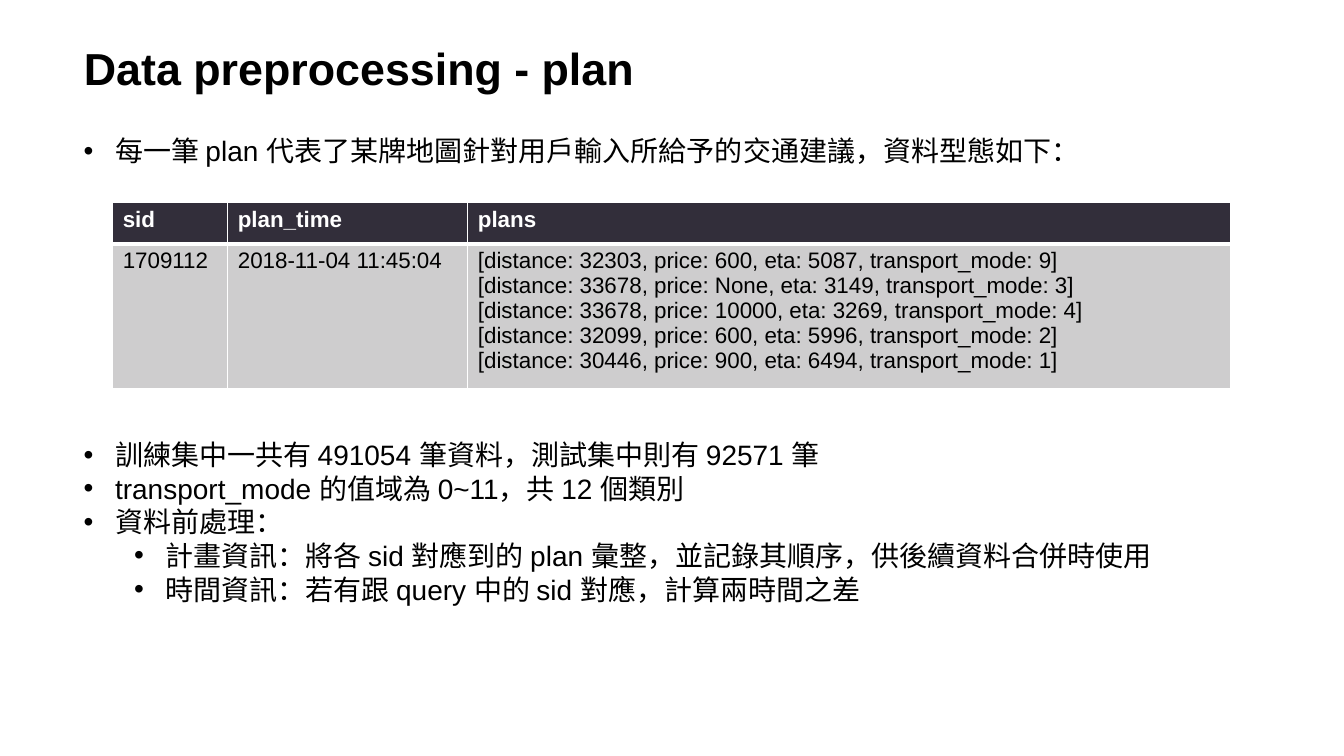
from dataclasses import dataclass

from lxml import etree
from pptx import Presentation
from pptx import util as u
from pptx.dml.color import RGBColor
from pptx.enum import text
from pptx.oxml import ns


@dataclass(frozen=True)
class Theme:
    """Colours, font and type sizes of the slide."""
    font: str = "Arial"
    ink: str = "000000"
    paper: str = "FFFFFF"
    header: str = "322E3A"
    row: str = "CECDCE"
    title_size: int = 32
    body_size: int = 20
    table_size: int = 16


THEME = Theme()
TITLE = "Data preprocessing - plan"
TABLE_GAP = 193
BULLETS = [
    (0, 0, "每一筆 plan 代表了某牌地圖針對用戶輸入所給予的交通建議，資料型態如下："),
    (0, TABLE_GAP, "訓練集中一共有 491054 筆資料，測試集中則有 92571 筆"),
    (0, 0, "transport_mode 的值域為 0~11，共 12 個類別"),
    (0, 0, "資料前處理："),
    (1, 0, "計畫資訊：將各 sid 對應到的 plan 彙整，並記錄其順序，供後續資料合併時使用"),
    (1, 0, "時間資訊：若有跟 query 中的 sid 對應，計算兩時間之差"),
]
PLANS = [
    (32303, 600, 5087, 9),
    (33678, None, 3149, 3),
    (33678, 10000, 3269, 4),
    (32099, 600, 5996, 2),
    (30446, 900, 6494, 1),
]
PLAN_LINES = "\n".join(
    f"[distance: {distance}, price: {price}, eta: {eta}, transport_mode: {mode}]"
    for distance, price, eta, mode in PLANS
)
TABLE_ROWS = [
    ["sid", "plan_time", "plans"],
    ["1709112", "2018-11-04 11:45:04", PLAN_LINES],
]
COLUMN_WIDTHS = [2.9, 6.05, 19.22]
ROW_HEIGHTS = [1.03, 3.64]


def apply_format(target, values):
    """Set each attribute named in values on the target."""
    for name, value in values.items():
        setattr(target, name, value)


def format_font(paragraph, size, colour, bold=False):
    """Give every run of the paragraph the theme font."""
    for run in paragraph.runs:
        apply_format(run.font, {"name": THEME.font, "size": u.Pt(size), "bold": bold})
        run.font.color.rgb = RGBColor.from_string(colour)


def place(shape, box):
    """Move the shape to a box of left, top, width and height in centimetres."""
    names = ("left", "top", "width", "height")
    apply_format(shape, dict(zip(names, map(u.Cm, box))))


def add_title(slide, box):
    """Fill and format the title placeholder."""
    title = slide.shapes.title
    place(title, box)
    frame = title.text_frame
    frame.text = TITLE
    apply_format(frame, {
        "vertical_anchor": text.MSO_ANCHOR.MIDDLE,
        "auto_size": text.MSO_AUTO_SIZE.NONE,
        "word_wrap": True,
    })
    paragraph = frame.paragraphs[0]
    apply_format(paragraph, {"alignment": text.PP_ALIGN.LEFT, "line_spacing": 0.9})
    format_font(paragraph, THEME.title_size, THEME.ink, bold=True)


def set_bullet(paragraph, level):
    """Add a round bullet with a hanging indent for the level."""
    properties = paragraph._p.get_or_add_pPr()
    hang = u.Cm(0.79)
    properties.set("marL", str(hang + level * u.Cm(1.27)))
    properties.set("indent", str(-hang))
    etree.SubElement(properties, ns.qn("a:buFont")).set("typeface", THEME.font)
    etree.SubElement(properties, ns.qn("a:buChar")).set("char", "•")


def add_bullets(slide, box):
    """Write the bullet list, leaving a gap for the table."""
    frame = slide.shapes.add_textbox(*map(u.Cm, box)).text_frame
    frame.word_wrap = True
    frame.text = "\n".join(line for _, _, line in BULLETS)
    for paragraph, (level, gap, _) in zip(frame.paragraphs, BULLETS):
        apply_format(paragraph, {"level": level, "space_before": u.Pt(gap)})
        set_bullet(paragraph, level)
        format_font(paragraph, THEME.body_size, THEME.ink)


def set_borders(cell, widths):
    """Draw the cell's borders, given as points by side."""
    properties = cell._tc.get_or_add_tcPr()
    for side, width in widths.items():
        line = etree.SubElement(properties, ns.qn(f"a:ln{side}"), w=str(u.Pt(width)))
        fill = etree.SubElement(line, ns.qn("a:solidFill"))
        etree.SubElement(fill, ns.qn("a:srgbClr"), val=THEME.paper)


def fill_cell(cell, content, is_header):
    """Write and colour one cell."""
    heavy_side = "B" if is_header else "T"
    set_borders(cell, {side: 3 if side == heavy_side else 1 for side in "LRTB"})
    cell.fill.solid()
    cell.fill.fore_color.rgb = RGBColor.from_string(THEME.header if is_header else THEME.row)
    cell.text_frame.text = content
    colour = THEME.paper if is_header else THEME.ink
    for paragraph in cell.text_frame.paragraphs:
        format_font(paragraph, THEME.table_size, colour, bold=is_header)


def add_plan_table(slide, left, top):
    """Add the sample record table at the given corner."""
    box = (left, top, sum(COLUMN_WIDTHS), sum(ROW_HEIGHTS))
    size = (len(ROW_HEIGHTS), len(COLUMN_WIDTHS))
    table = slide.shapes.add_table(*size, *map(u.Cm, box)).table
    for column, width in zip(table.columns, COLUMN_WIDTHS):
        column.width = u.Cm(width)
    for index, (row, height) in enumerate(zip(table.rows, ROW_HEIGHTS)):
        row.height = u.Cm(height)
        for cell, content in zip(row.cells, TABLE_ROWS[index]):
            fill_cell(cell, content, is_header=index == 0)


def main():
    """Build the slide and save it."""
    presentation = Presentation()
    apply_format(presentation, {"slide_width": u.Cm(33.87), "slide_height": u.Cm(19.05)})
    slide = presentation.slides.add_slide(presentation.slide_layouts.get_by_name("Title Only"))
    left, width = 1.86, 30.14
    add_title(slide, (left, 0.38, width, 2.84))
    add_bullets(slide, (left, 3.25, width, 13.08))
    add_plan_table(slide, left + 0.98, 5.11)
    presentation.save("out.pptx")


if __name__ == "__main__":
    main()
